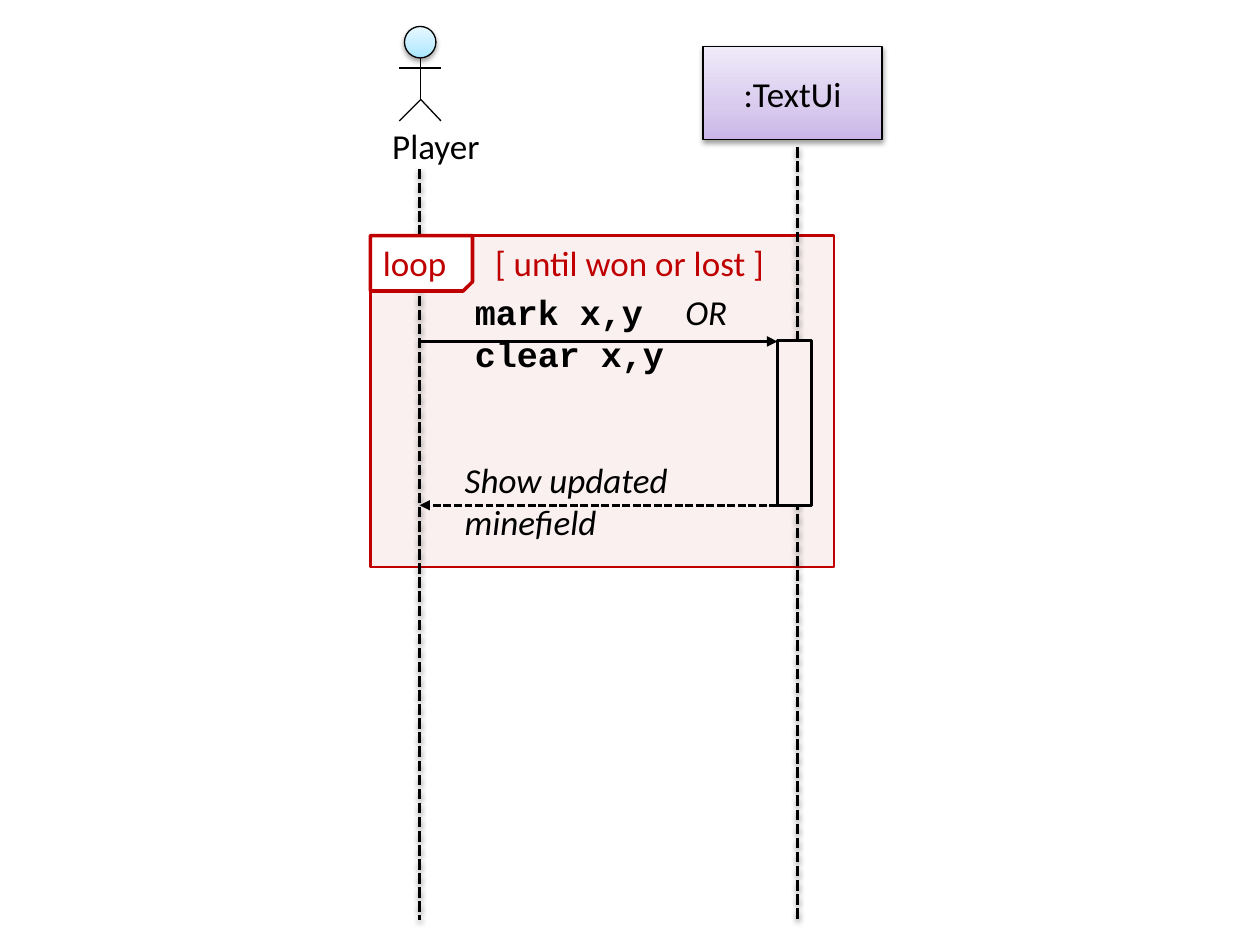
from lxml.etree import SubElement
from pptx import Presentation
from pptx.dml.color import RGBColor
from pptx.enum.dml import MSO_LINE
from pptx.enum.shapes import MSO_CONNECTOR, MSO_SHAPE
from pptx.enum.text import MSO_ANCHOR, PP_ALIGN
from pptx.oxml import parse_xml
from pptx.oxml.ns import nsdecls, qn
from pptx.util import Inches, Pt

COLORS = {"ink": "000000", "loop": "C00000", "loop_fill": "FAF0F0", "tab_fill": "FFFFFF"}
HEAD_GRADIENT = [(0, "A7E6FF"), (35, "C1EDFF"), (100, "E7F8FF")]
OBJECT_GRADIENT = [(0, "C9B5E8"), (35, "D8CBEE"), (100, "F0EAF9")]
SHADOW = (
    '<a:outerShdw blurRad="39400" dist="20300" dir="5400000" rotWithShape="0">'
    '<a:srgbClr val="000000"><a:alpha val="38000"/></a:srgbClr></a:outerShdw>'
)


def add_line(shapes, start, end, width, dashed=False, arrow=False, shadow=False):
    x1, y1, x2, y2 = [Inches(value) for value in (*start, *end)]
    connector = shapes.add_connector(MSO_CONNECTOR.STRAIGHT, x1, y1, x2, y2)
    connector.line.color.rgb = RGBColor.from_string(COLORS["ink"])
    connector.line.width = Pt(width)
    if dashed:
        connector.line.dash_style = MSO_LINE.SQUARE_DOT
    properties = connector._element.spPr
    if arrow:
        SubElement(properties.find(qn("a:ln")), qn("a:tailEnd"), type="triangle")
    effects = SHADOW if shadow else ""
    properties.append(parse_xml(f"<a:effectLst {nsdecls('a')}>{effects}</a:effectLst>"))


def add_box(shapes, kind, box, color, width, fill=None, gradient=None):
    shape = shapes.add_shape(kind, *[Inches(value) for value in box])
    shape.line.color.rgb = RGBColor.from_string(COLORS[color])
    shape.line.width = Pt(width)
    shape.shadow.inherit = False
    if fill:
        shape.fill.solid()
        shape.fill.fore_color.rgb = RGBColor.from_string(COLORS[fill])
        return shape
    shape.fill.gradient()
    shape.fill.gradient_angle = 90
    properties = shape._element.spPr
    stops = properties.find(qn("a:gradFill")).find(qn("a:gsLst"))
    for stop in list(stops):
        stops.remove(stop)
    for position, value in gradient:
        stop = SubElement(stops, qn("a:gs"), pos=str(position * 1000))
        SubElement(stop, qn("a:srgbClr"), val=value)
    properties.remove(properties.find(qn("a:effectLst")))
    properties.append(parse_xml(f"<a:effectLst {nsdecls('a')}>{SHADOW}</a:effectLst>"))
    return shape


presentation = Presentation()
presentation.slide_width = Inches(10)
presentation.slide_height = Inches(7.5)
slide = presentation.slides.add_slide(presentation.slide_layouts[6])
shapes = slide.shapes

player_x, object_x, bottom = 3.33, 6.33, 7.3
call_y, reply_y = 2.71, 4.01

add_box(shapes, MSO_SHAPE.RECTANGLE, (2.94, 1.87, 3.68, 2.63), "loop", 1.5, "loop_fill")
add_line(shapes, (player_x, 1.34), (player_x, bottom), 2, dashed=True, shadow=True)
loop_tab = add_box(
    shapes, MSO_SHAPE.SNIP_1_RECTANGLE, (2.94, 1.87, 0.81, 0.44), "loop", 2, "tab_fill"
)
loop_tab._element.spPr.find(qn("a:xfrm")).set("flipV", "1")
add_line(shapes, (object_x, 1.17), (object_x, bottom), 2, dashed=True, shadow=True)
object_box = add_box(
    shapes, MSO_SHAPE.RECTANGLE, (5.58, 0.37, 1.42, 0.74), "ink", 0.75, gradient=OBJECT_GRADIENT
)
object_box.text_frame.text = ":TextUi"
paragraph = object_box.text_frame.paragraphs[0]
paragraph.alignment = PP_ALIGN.CENTER
paragraph.font.name = "Calibri"
paragraph.font.size = Pt(20)
paragraph.font.color.rgb = RGBColor.from_string(COLORS["ink"])

add_line(shapes, (player_x, call_y), (6.17, call_y), 1.5, arrow=True)
add_line(shapes, (6.17, reply_y), (player_x, reply_y), 1.5, dashed=True, arrow=True)

figure = shapes.add_group_shape().shapes
for start, end in [
    ((3.34, 0.38), (3.34, 0.79)),
    ((3.17, 0.54), (3.5, 0.54)),
    ((3.34, 0.79), (3.17, 0.96)),
    ((3.34, 0.79), (3.5, 0.96)),
]:
    add_line(figure, start, end, 0.75)
add_box(figure, MSO_SHAPE.OVAL, (3.21, 0.21, 0.25, 0.25), "ink", 0.75, gradient=HEAD_GRADIENT)
add_box(
    shapes, MSO_SHAPE.RECTANGLE, (6.17, 2.7, 0.27, reply_y - 2.7), "ink", 1.5, "loop_fill"
)

plain = ("Calibri", False, False)
italic = ("Calibri", False, True)
code = ("Courier New", True, False)
labels = [
    ((2.94, 1.87, 3.31, 0.42), "loop", 0.89, PP_ALIGN.LEFT, MSO_ANCHOR.MIDDLE,
     [[("loop\t[ until won or lost ]", plain)]]),
    ((3.67, 2.26, 3.01, 0.77), "ink", 1.67, PP_ALIGN.LEFT, MSO_ANCHOR.TOP,
     [[("mark x,y\t", code), ("OR", italic)], [("clear x,y", code)]]),
    ((3.59, 3.59, 2.47, 0.77), "ink", None, PP_ALIGN.LEFT, MSO_ANCHOR.TOP,
     [[("Show updated minefield", italic)]]),
    ((2.87, 0.94, 1.18, 0.44), "ink", None, PP_ALIGN.CENTER, MSO_ANCHOR.TOP,
     [[("Player", plain)]]),
]
for box, color, tab_stop, alignment, anchor, lines in labels:
    text_frame = shapes.add_textbox(*[Inches(value) for value in box]).text_frame
    text_frame.word_wrap = True
    text_frame.vertical_anchor = anchor
    paragraph = text_frame.paragraphs[0]
    paragraph.alignment = alignment
    if tab_stop:
        tabs = SubElement(paragraph._p.get_or_add_pPr(), qn("a:tabLst"))
        SubElement(tabs, qn("a:tab"), pos=str(Inches(tab_stop)), algn="l")
    paragraph.font.size = Pt(20)
    paragraph.font.color.rgb = RGBColor.from_string(COLORS[color])
    for index, line in enumerate(lines):
        if index:
            paragraph.add_line_break()
        for text, (font_name, bold, slanted) in line:
            run = paragraph.add_run()
            run.text = text
            run.font.name = font_name
            run.font.bold = bold
            run.font.italic = slanted

presentation.save("out.pptx")
